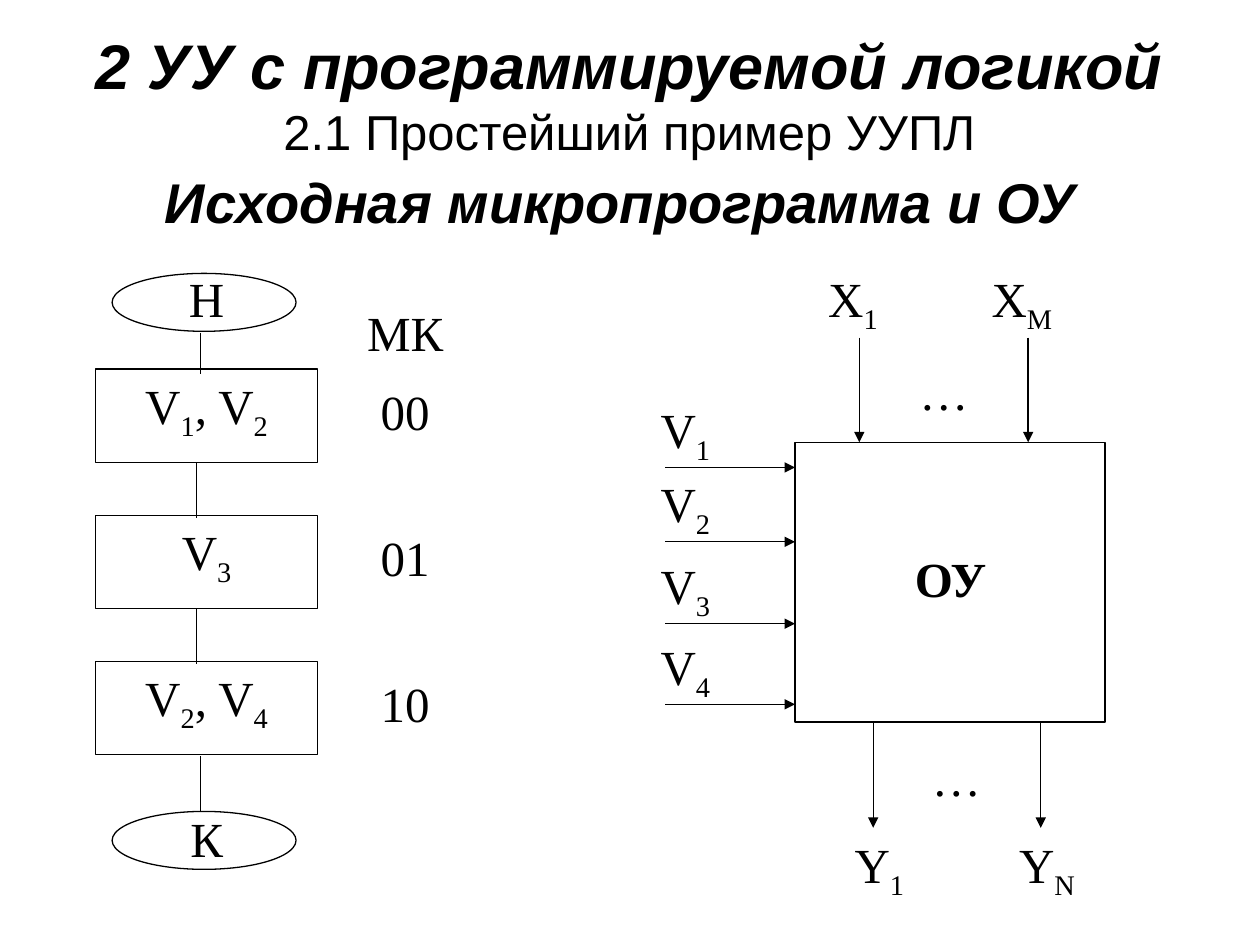
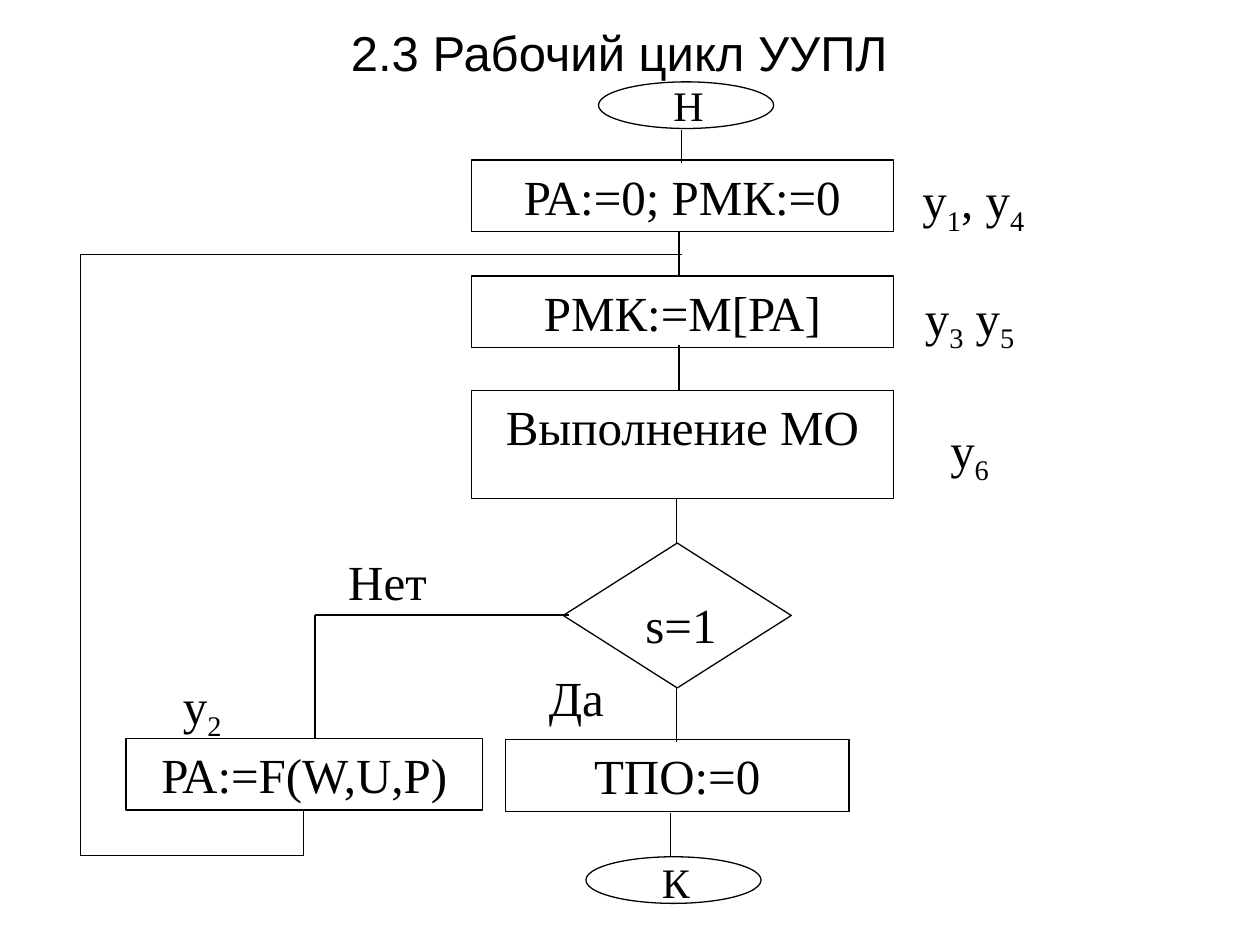
import pptx
import pptx.dml.color
import pptx.enum.shapes
import pptx.enum.text
import pptx.oxml.ns
import pptx.util
from lxml import etree
from typing import NamedTuple

PX = 9144  # one px is a hundredth of an inch
INK = "000000"
SANS, SERIF = "Arial", "Times New Roman"
FORM = pptx.enum.shapes.MSO_SHAPE
MID = pptx.enum.text.MSO_ANCHOR.MIDDLE
TOP = pptx.enum.text.MSO_ANCHOR.TOP


class Area(NamedTuple):
    left: int
    top: int
    width: int
    height: int


class Style(NamedTuple):
    size: int = 28
    font: str = SERIF
    bold: bool = False
    slant: bool = False


class Label(NamedTuple):
    area: Area
    text: str
    style: Style = Style()


class Box(NamedTuple):
    form: FORM
    area: Area
    text: str = ""


class Line(NamedTuple):
    x1: int
    y1: int
    x2: int
    y2: int
    arrow: bool = False


BODY = Style()
HEAD = Style(font=SANS)


def px(n: int) -> pptx.util.Emu:
    return pptx.util.Emu(n * PX)


def color(code: str) -> pptx.dml.color.RGBColor:
    return pptx.dml.color.RGBColor.from_string(code)


def add_run(para, text: str, style: Style, sub: bool = False) -> None:
    run = para.add_run()
    run.text = text
    font = run.font
    font.size, font.name = pptx.util.Pt(style.size), style.font
    font.bold, font.italic = style.bold, style.slant
    font.color.rgb = color(INK)
    if sub:
        run._r.get_or_add_rPr().set("baseline", "-25000")


def set_frame(shape, anchor=TOP):
    """Prepare the text frame and return its centred paragraph."""
    frame = shape.text_frame
    frame.word_wrap = True
    frame.vertical_anchor = anchor
    frame.margin_left = frame.margin_right = px(10)
    frame.margin_top = frame.margin_bottom = px(5)
    para = frame.paragraphs[0]
    para.alignment = pptx.enum.text.PP_ALIGN.CENTER
    return para


def write(para, text: str, style: Style) -> None:
    """Add runs; the letter after each underscore is a subscript."""
    first, *rest = text.split("_")
    add_run(para, first, style)
    for part in rest:
        add_run(para, part[0], style, sub=True)
        if part[1:]:
            add_run(para, part[1:], style)


def add_title(slide, area: Area, rows: list[list[tuple[str, Style]]]) -> None:
    para = set_frame(slide.shapes.add_textbox(*map(px, area)), MID)
    for i, row in enumerate(rows):
        if i:
            para.add_line_break()
        for text, style in row:
            add_run(para, text, style)


def add_label(slide, label: Label) -> None:
    para = set_frame(slide.shapes.add_textbox(*map(px, label.area)))
    write(para, label.text, label.style)


def add_box(slide, box: Box) -> None:
    shape = slide.shapes.add_shape(box.form, *map(px, box.area))
    shape.shadow.inherit = False
    shape.fill.background()
    shape.line.color.rgb = color(INK)
    shape.line.width = pptx.util.Pt(0.75)
    if box.text:
        write(set_frame(shape), box.text, BODY)


def add_line(slide, line: Line) -> None:
    kind = pptx.enum.shapes.MSO_CONNECTOR.STRAIGHT
    link = slide.shapes.add_connector(kind, *map(px, line[:4]))
    link.line.color.rgb = color(INK)
    link.line.width = pptx.util.Pt(0.75)
    qn, prop = pptx.oxml.ns.qn, link._element.spPr
    if line.arrow:
        etree.SubElement(prop.find(qn("a:ln")), qn("a:tailEnd"), type="triangle")
    etree.SubElement(prop, qn("a:effectLst"))


def draw(slide, boxes: list[Box], lines: list[Line], labels: list[Label]) -> None:
    for box in boxes:
        add_box(slide, box)
    for line in lines:
        add_line(slide, line)
    for label in labels:
        add_label(slide, label)


def build_unit(slide) -> None:
    add_title(slide, Area(33, 25, 933, 158), [
        [("2 УУ с программируемой логикой", Style(36, SANS, True, True))],
        [("2.1 Простейший пример УУПЛ", HEAD)],
        [("Исходная микропрограмма и ОУ", Style(32, SANS, True, True)),
         (" ", Style(36, SANS))],
    ])

    # Microprogram with its command codes
    boxes = [Box(FORM.OVAL, Area(89, y, 146, 46)) for y in (217, 644)]
    labels = [Label(Area(67, 208, 194, 63), "Н"),
              Label(Area(67, 637, 194, 63), "К"),
              Label(Area(252, 235, 139, 63), "МК")]
    steps = [("V_1, V_2", "00"), ("V_3", "01"), ("V_2, V_4", "10")]
    for i, (text, code) in enumerate(steps):
        y = 293 + 116 * i
        boxes.append(Box(FORM.RECTANGLE, Area(76, y, 176, 74), text))
        labels.append(Label(Area(252, y + 5, 139, 63), code))
    lines = [Line(159, 264, 159, 297), Line(156, 367, 156, 411),
             Line(156, 483, 156, 527), Line(159, 600, 159, 644)]

    # Operating unit
    boxes.append(Box(FORM.RECTANGLE, Area(631, 351, 246, 222)))
    labels.append(Label(Area(621, 430, 267, 99), "ОУ", Style(bold=True)))

    # Control inputs on the left
    for i, y in enumerate((371, 430, 495, 559), 1):
        lines.append(Line(528, y, 631, y, True))
        labels.append(Label(Area(467, y - 59, 154, 59), f"V_{i}"))

    # Data inputs above and outputs below
    for x, text in ((682, "X_1"), (816, "X_M")):
        lines.append(Line(x, 268, x, 351, True))
        labels.append(Label(Area(x - 82, 208, 154, 59), text))
    for x, text in ((693, "Y_1"), (826, "Y_N")):
        lines.append(Line(x, 574, x, 657, True))
        labels.append(Label(Area(x - 72, 657, 154, 59), text))
    for x, y in ((672, 282), (682, 588)):
        labels.append(Label(Area(x, y, 154, 59), "…"))
    draw(slide, boxes, lines, labels)


def build_cycle(slide) -> None:
    add_title(slide, Area(33, 8, 917, 67), [[("2.3 Рабочий цикл УУПЛ", HEAD)]])

    # Steps, start and end
    rect = FORM.RECTANGLE
    boxes = [
        Box(FORM.OVAL, Area(475, 65, 139, 37)),
        Box(rect, Area(374, 127, 335, 57), "РА:=0; РМК:=0"),
        Box(rect, Area(374, 219, 335, 57), "РМК:=М[РА]"),
        Box(rect, Area(374, 310, 335, 86), "Выполнение МО"),
        Box(FORM.DIAMOND, Area(447, 431, 181, 115)),
        Box(rect, Area(401, 587, 273, 57), "ТПО:=0"),
        Box(rect, Area(100, 586, 283, 57), "РА:=F(W,U,P)"),
        Box(FORM.OVAL, Area(465, 680, 139, 37)),
    ]

    # Main branch, then the loop back
    lines = [
        Line(541, 103, 541, 129), Line(539, 184, 539, 219),
        Line(539, 274, 539, 310), Line(537, 396, 537, 431),
        Line(537, 545, 537, 589), Line(532, 645, 532, 680),
        Line(250, 488, 452, 488), Line(250, 488, 250, 586),
        Line(241, 643, 241, 679), Line(64, 679, 241, 679),
        Line(64, 202, 64, 679), Line(64, 202, 541, 202),
    ]

    # Captions of the nodes and branches, then control signals
    notes = [(454, 58, "Н", 24), (444, 675, "К", 24), (448, 467, "s=1", 28),
             (215, 433, "Нет", 28), (365, 525, "Да", 28)]
    signs = [(703, 130, "y_1, y_4"), (700, 223, "y_3 y_5"),
             (700, 328, "y_6"), (91, 531, "y_2")]
    labels = [Label(Area(x, y, 185, 50), text, Style(size))
              for x, y, text, size in notes]
    labels += [Label(Area(x, y, 139, 50), text) for x, y, text in signs]
    draw(slide, boxes, lines, labels)


def main() -> None:
    deck = pptx.Presentation()
    deck.slide_width, deck.slide_height = px(1000), px(750)
    for build in (build_unit, build_cycle):
        build(deck.slides.add_slide(deck.slide_layouts[6]))
    deck.save("out.pptx")


if __name__ == "__main__":
    main()
